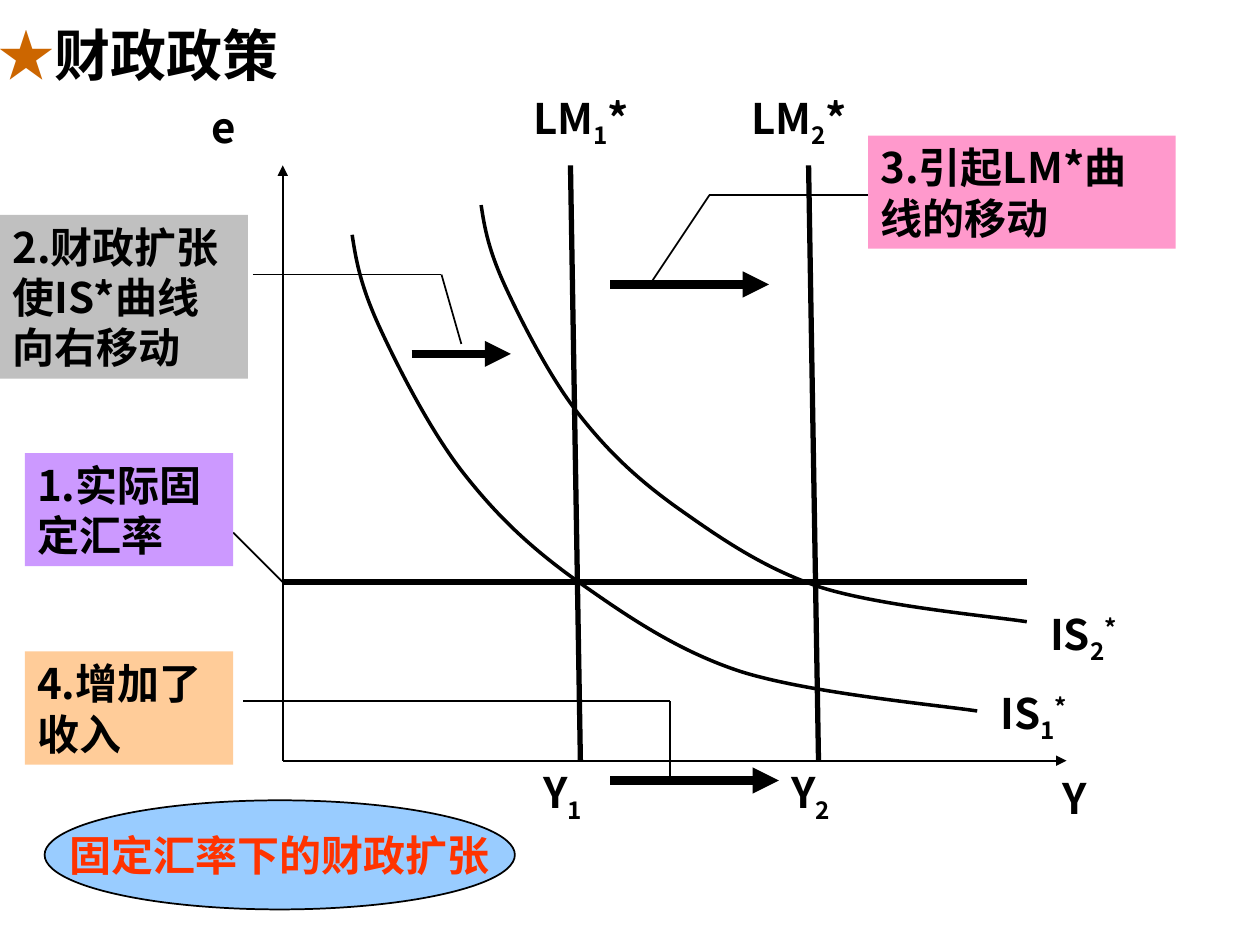
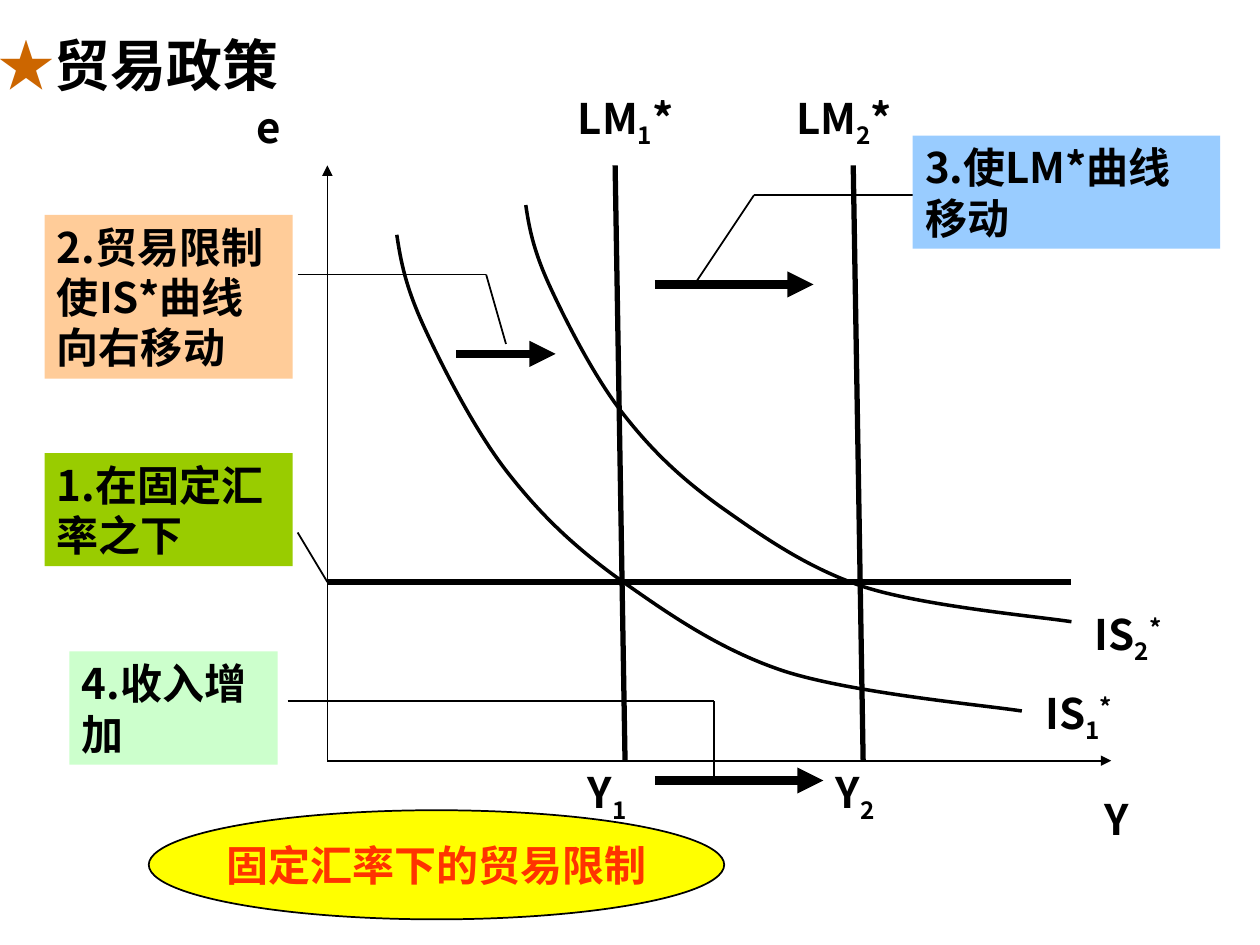
import dataclasses

import lxml.etree
import pptx
import pptx.dml.color
import pptx.enum.shapes
import pptx.enum.text
import pptx.oxml.ns
import pptx.util

qn = pptx.oxml.ns.qn
Shape = pptx.enum.shapes.MSO_SHAPE
Align = pptx.enum.text.PP_ALIGN
Anchor = pptx.enum.text.MSO_ANCHOR


@dataclasses.dataclass(frozen=True)
class Theme:
    font: str = "Noto Sans CJK SC"
    ink: str = "000000"
    star: str = "CC6600"
    caption: str = "FF3300"
    pink: str = "FF99CC"
    gray: str = "C0C0C0"
    peach: str = "FFCC99"
    purple: str = "CC99FF"
    blue: str = "99CCFF"
    mint: str = "CCFFCC"
    green: str = "99CC00"
    yellow: str = "FFFF00"
    title_size: int = 32
    text_size: int = 24
    thin: int = 1
    curve: int = 2
    thick: int = 3
    shift: int = 5


THEME = Theme()
SLIDE_WIDTH = pptx.util.Inches(10)
SLIDE_HEIGHT = pptx.util.Inches(7.5)
CELL = SLIDE_WIDTH / 127
PLOT_WIDTH, PLOT_HEIGHT = 79, 60
PLOT_TOP = 16.67
IS_GRID = (63, 48)
IS_POINTS = [
    (0, 0), (0.4, 2.7), (0.9, 5.3), (2.8, 9.4), (4.6, 13.3), (7.9, 19.8),
    (11.2, 24), (14.5, 28.2), (17.7, 31.3), (22.4, 34.7), (27.1, 38),
    (32.4, 41.8), (39.1, 44), (46, 46.2), (59.1, 47.4), (63, 48),
]


@dataclasses.dataclass(frozen=True)
class Box:
    left: float
    top: float
    width: float
    height: float

    def inside(self, left, top, width, height):
        return Box(self.left + left, self.top + top, width, height)

    def point(self, column, row):
        return round((self.left + column) * CELL), round((self.top + row) * CELL)

    def frame(self):
        return *self.point(0, 0), round(self.width * CELL), round(self.height * CELL)


def rgb(color):
    return pptx.dml.color.RGBColor.from_string(color)


def write_text(shape, *runs, size=THEME.text_size, color=THEME.ink, align=Align.LEFT,
               anchor=Anchor.TOP, wrap=True, line_spacing=None):
    frame = shape.text_frame
    frame.word_wrap = wrap
    frame.auto_size = pptx.enum.text.MSO_AUTO_SIZE.NONE
    frame.vertical_anchor = anchor
    paragraph = frame.paragraphs[0]
    paragraph.alignment = align
    paragraph.space_before = pptx.util.Pt(0)
    if line_spacing:
        paragraph.line_spacing = line_spacing
    for text, changes in runs:
        run = paragraph.add_run()
        run.text = text
        run.font.size = pptx.util.Pt(size)
        run.font.bold = True
        run.font.name = THEME.font
        run.font.color.rgb = rgb(changes.get("color", color))
        properties = run.font._element
        lxml.etree.SubElement(properties, qn("a:ea"), typeface=THEME.font)
        if "baseline" in changes:
            properties.set("baseline", str(changes["baseline"] * 1000))


def add_title(slide, text, top):
    title = slide.shapes.title
    title.left, title.top, title.width, title.height = Box(-1.4, top, 40.3, 7.4).frame()
    write_text(title, ("★", {"color": THEME.star}), (text, {}),
               size=THEME.title_size, line_spacing=0.9)


def add_path(slide, plot, *points, width=THEME.thin, arrow=False):
    for start, end in zip(points, points[1:]):
        connector = slide.shapes.add_connector(
            pptx.enum.shapes.MSO_CONNECTOR.STRAIGHT, *plot.point(*start), *plot.point(*end))
        connector.line.color.rgb = rgb(THEME.ink)
        connector.line.width = pptx.util.Pt(width)
        if arrow:
            line = connector.line._get_or_add_ln()
            lxml.etree.SubElement(line, qn("a:tailEnd"), type="triangle")
        lxml.etree.SubElement(connector._element.spPr, qn("a:effectLst"))


def add_is_curve(slide, box):
    columns, rows = IS_GRID
    points = [box.point(x * box.width / columns, y * box.height / rows) for x, y in IS_POINTS]
    builder = slide.shapes.build_freeform(*points[0])
    builder.add_line_segments(points[1:], close=False)
    curve = builder.convert_to_shape()
    segments = list(curve._element.iter(qn("a:lnTo")))
    for index in range(0, len(segments), 3):
        bezier = lxml.etree.Element(qn("a:cubicBezTo"))
        segments[index].addprevious(bezier)
        for segment in segments[index:index + 3]:
            bezier.append(segment[0])
            segment.getparent().remove(segment)
    curve.shadow.inherit = False
    curve.fill.background()
    curve.line.color.rgb = rgb(THEME.ink)
    curve.line.width = pptx.util.Pt(THEME.curve)


def add_filled(slide, kind, box, fill):
    shape = slide.shapes.add_shape(kind, *box.frame())
    shape.shadow.inherit = False
    shape.fill.solid()
    shape.fill.fore_color.rgb = rgb(fill)
    shape.line.fill.background()
    return shape


def add_callout(slide, box, text, fill):
    write_text(add_filled(slide, Shape.RECTANGLE, box, fill), (text, {}))


def add_caption(slide, box, text, fill):
    ellipse = add_filled(slide, Shape.OVAL, box, fill)
    ellipse.line.color.rgb = rgb(THEME.ink)
    ellipse.line.width = pptx.util.Pt(THEME.thin)
    write_text(ellipse, (text, {}), color=THEME.caption, align=Align.CENTER,
               anchor=Anchor.MIDDLE, wrap=False)


def add_label(slide, box, name, index="", star=None):
    runs = [(name, {})]
    if index:
        runs.append((index, {"baseline": -25}))
    if star is not None:
        runs.append(("*", {"baseline": star}))
    write_text(slide.shapes.add_textbox(*box.frame()), *runs)


def add_plot(slide, plot, income_label):
    bottom = plot.height
    for axis_end in ((0, 0), (plot.width, bottom)):
        add_path(slide, plot, (0, bottom), axis_end, arrow=True)
    add_is_curve(slide, plot.inside(7, 7, 63, 48))
    add_is_curve(slide, plot.inside(20, 4, 55, 42))
    add_path(slide, plot, (0, 42), (75, 42), width=THEME.thick)
    for index, foot in (("1", 30), ("2", 54)):
        add_path(slide, plot, (foot, bottom), (foot - 1, 0), width=THEME.thick)
        add_label(slide, plot.inside(foot - 6 - 2 * (index == "2"), -8, 13, 7), "LM", index, star=0)
    for start, end, row in ((13, 23, 19), (33, 49, 12), (33, 50, 62)):
        add_path(slide, plot, (start, row), (end, row), width=THEME.shift, arrow=True)
    for index, column in (("1", 25), ("2", 50)):
        add_label(slide, plot.inside(column, bottom, 8, 7), "Y", index)
    add_label(slide, plot.inside(71.1, 52, 11, 7), "IS", "1", star=30)
    add_label(slide, plot.inside(76.1, 44, 11, 7), "IS", "2", star=30)
    add_label(slide, plot.inside(-8.4, -7.1, 21, 6.4), "e")
    add_label(slide, plot.inside(*income_label, 6.4), "Y")


def add_leaders(slide, plot, rate_start):
    add_path(slide, plot, (37, 12), (43, 3), (59, 3))
    add_path(slide, plot, (-3, 11), (16, 11), (18, 18))
    add_path(slide, plot, (rate_start, 37), (0, 42))
    add_path(slide, plot, (-4, 54), (39, 54), (39, 62))


def build_policy_slide(presentation, policy):
    slide = presentation.slides.add_slide(presentation.slide_layouts[5])
    plot = Box(policy["plot_left"], PLOT_TOP, PLOT_WIDTH, PLOT_HEIGHT)
    add_title(slide, policy["title"], policy["title_top"])
    add_caption(slide, plot.inside(*policy["caption_box"], 11), *policy["caption"])
    add_plot(slide, plot, policy["income_label"])
    add_leaders(slide, plot, policy["rate_start"])
    rate_left, rate_width = policy["rate_span"]
    callout_boxes = (
        (rate_left, 29, rate_width, 11.4),
        (-28.5, 5, 25, 16.5),
        (59, -3, 31, 11.4),
        (-26, 49, 21, 11.4),
    )
    for number, (box, (text, fill)) in enumerate(zip(callout_boxes, policy["callouts"]), 1):
        add_callout(slide, plot.inside(*box), f"{number}.{text}", fill)


POLICIES = [
    {
        "title": "财政政策", "title_top": 2.2, "plot_left": 28.5,
        "caption": ("固定汇率下的财政扩张", THEME.blue), "caption_box": (-24, 64, 47.4),
        "income_label": (77.3, 60.6, 11), "rate_start": -5, "rate_span": (-26, 21),
        "callouts": [
            ("实际固定汇率", THEME.purple),
            ("财政扩张使IS*曲线向右移动", THEME.gray),
            ("引起LM*曲线的移动", THEME.pink),
            ("增加了收入", THEME.peach),
        ],
    },
    {
        "title": "贸易政策", "title_top": 3.2, "plot_left": 33,
        "caption": ("固定汇率下的贸易限制", THEME.yellow), "caption_box": (-18, 65, 58),
        "income_label": (77.1, 62.7, 8.5), "rate_start": -3, "rate_span": (-28.5, 25),
        "callouts": [
            ("在固定汇率之下", THEME.green),
            ("贸易限制使IS*曲线向右移动", THEME.peach),
            ("使LM*曲线移动", THEME.blue),
            ("收入增加", THEME.mint),
        ],
    },
]


def main():
    presentation = pptx.Presentation()
    presentation.slide_width = SLIDE_WIDTH
    presentation.slide_height = SLIDE_HEIGHT
    for policy in POLICIES:
        build_policy_slide(presentation, policy)
    presentation.save("out.pptx")


if __name__ == "__main__":
    main()
